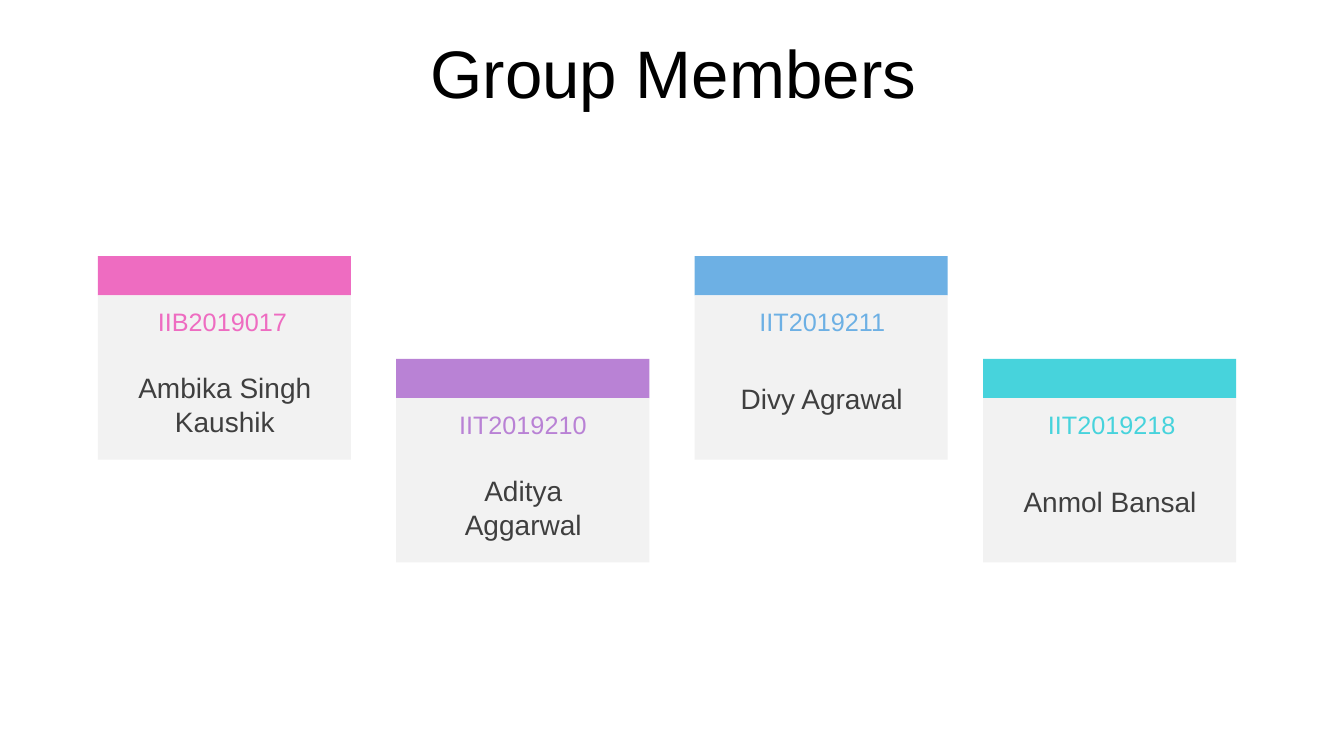
import pptx
import pptx.util
import pptx.dml.color
import pptx.enum.shapes
import pptx.enum.text

RGB = pptx.dml.color.RGBColor
PX = 9144  # EMU per px, 100 px to the inch

BLACK = RGB(0x00, 0x00, 0x00)
NAME_GREY = RGB(0x3F, 0x3F, 0x3F)
CARD_GREY = RGB(0xF2, 0xF2, 0xF2)
PINK = RGB(0xEE, 0x6C, 0xC1)
PURPLE = RGB(0xB9, 0x82, 0xD5)
BLUE = RGB(0x6D, 0xB0, 0xE4)
TEAL = RGB(0x47, 0xD3, 0xDC)

CARD_WIDTH, BAND_HEIGHT, BODY_HEIGHT = 251, 39, 163
UPPER_ROW, LOWER_ROW = 254, 356
NAME_BOXES = {1: (120, 44), 2: (109, 77)}  # lines: (top within card, height)

# roll number, name, lines of the name, colour, card left, roll number inset
MEMBERS = [
    ("IIB2019017", "Ambika Singh Kaushik", 2, PINK, 97, 15),
    ("IIT2019210", "Aditya Aggarwal", 2, PURPLE, 393, 17),
    ("IIT2019211", "Divy Agrawal", 1, BLUE, 689, 18),
    ("IIT2019218", "Anmol Bansal", 1, TEAL, 975, 19),
]


def emu(*lengths):
    return [pptx.util.Emu(length * PX) for length in lengths]


def add_rectangle(shapes, box, colour):
    rectangle = shapes.add_shape(pptx.enum.shapes.MSO_SHAPE.RECTANGLE, *emu(*box))
    rectangle.shadow.inherit = False
    rectangle.fill.solid()
    rectangle.fill.fore_color.rgb = colour
    rectangle.line.fill.background()


def add_label(slide, box, text, size, colour, left_inset=10, middle=True, spacing=1.0):
    frame = slide.shapes.add_textbox(*emu(*box)).text_frame
    anchors = pptx.enum.text.MSO_ANCHOR
    left, side, edge = emu(left_inset, 10, 5)
    frame_format = {
        "word_wrap": True,
        "vertical_anchor": anchors.MIDDLE if middle else anchors.TOP,
        "margin_left": left,
        "margin_right": side,
        "margin_top": edge,
        "margin_bottom": edge,
    }
    for attribute, value in frame_format.items():
        setattr(frame, attribute, value)
    line = frame.paragraphs[0]
    line.alignment = pptx.enum.text.PP_ALIGN.CENTER
    line.line_spacing = spacing
    run = line.add_run()
    run.text = text
    run.font.name = "Arial"
    run.font.size = pptx.util.Pt(size)
    run.font.color.rgb = colour


def add_member_card(slide, left, top, member):
    roll_number, name, name_lines, colour, _, roll_inset = member
    card = slide.shapes.add_group_shape()
    add_rectangle(card.shapes, (left, top, CARD_WIDTH, BAND_HEIGHT), colour)
    add_rectangle(card.shapes, (left, top + BAND_HEIGHT, CARD_WIDTH, BODY_HEIGHT), CARD_GREY)

    add_label(slide, (left + roll_inset, top + 47, 215, 36), roll_number, 18, colour,
              left_inset=12)
    name_top, name_height = NAME_BOXES[name_lines]
    add_label(slide, (left + 19, top + name_top, 214, name_height), name, 20, NAME_GREY,
              middle=False)


def build_members_slide(deck):
    slide = deck.slides.add_slide(deck.slide_layouts[6])
    add_label(slide, (35, 37, 1266, 79), "Group Members", 48, BLACK, spacing=0.9)
    for index, member in enumerate(MEMBERS):
        top = LOWER_ROW if index % 2 else UPPER_ROW
        add_member_card(slide, member[4], top, member)


def main():
    deck = pptx.Presentation()
    deck.slide_width, deck.slide_height = emu(1333, 750)
    build_members_slide(deck)
    deck.save("out.pptx")


if __name__ == "__main__":
    main()
